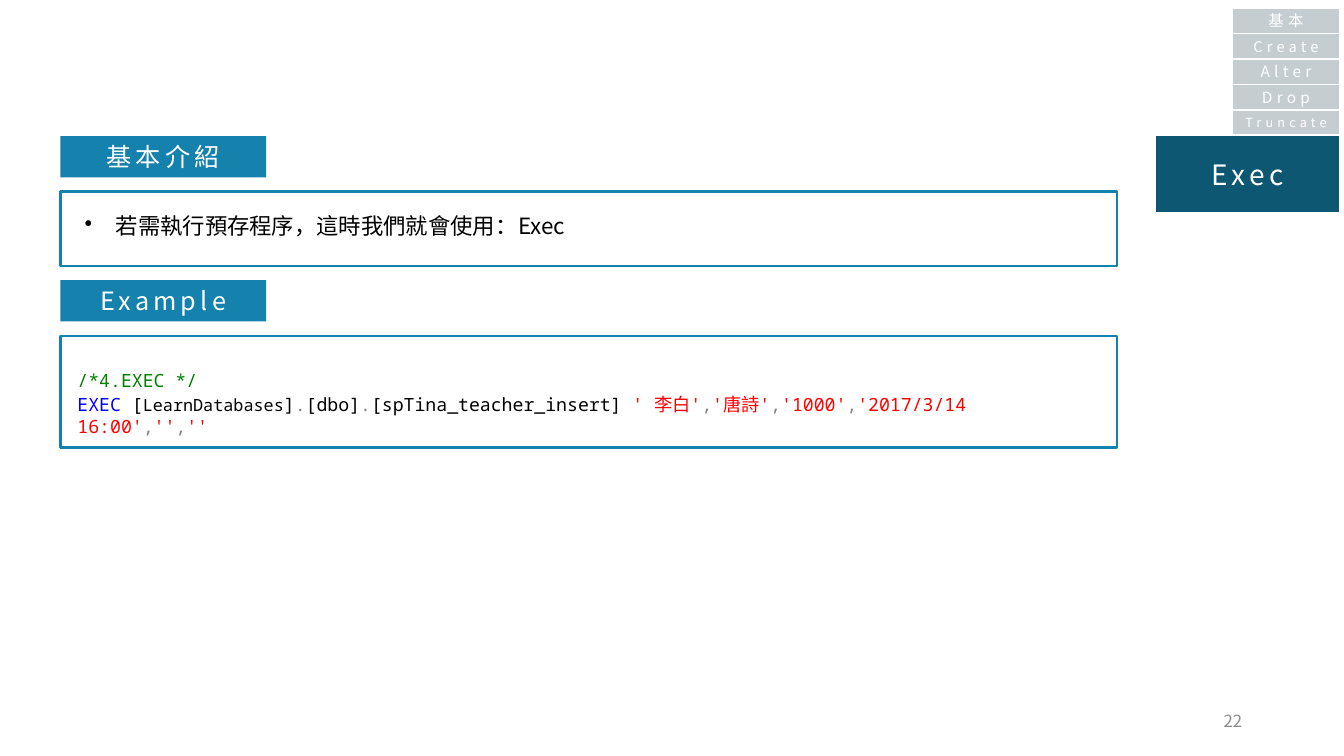
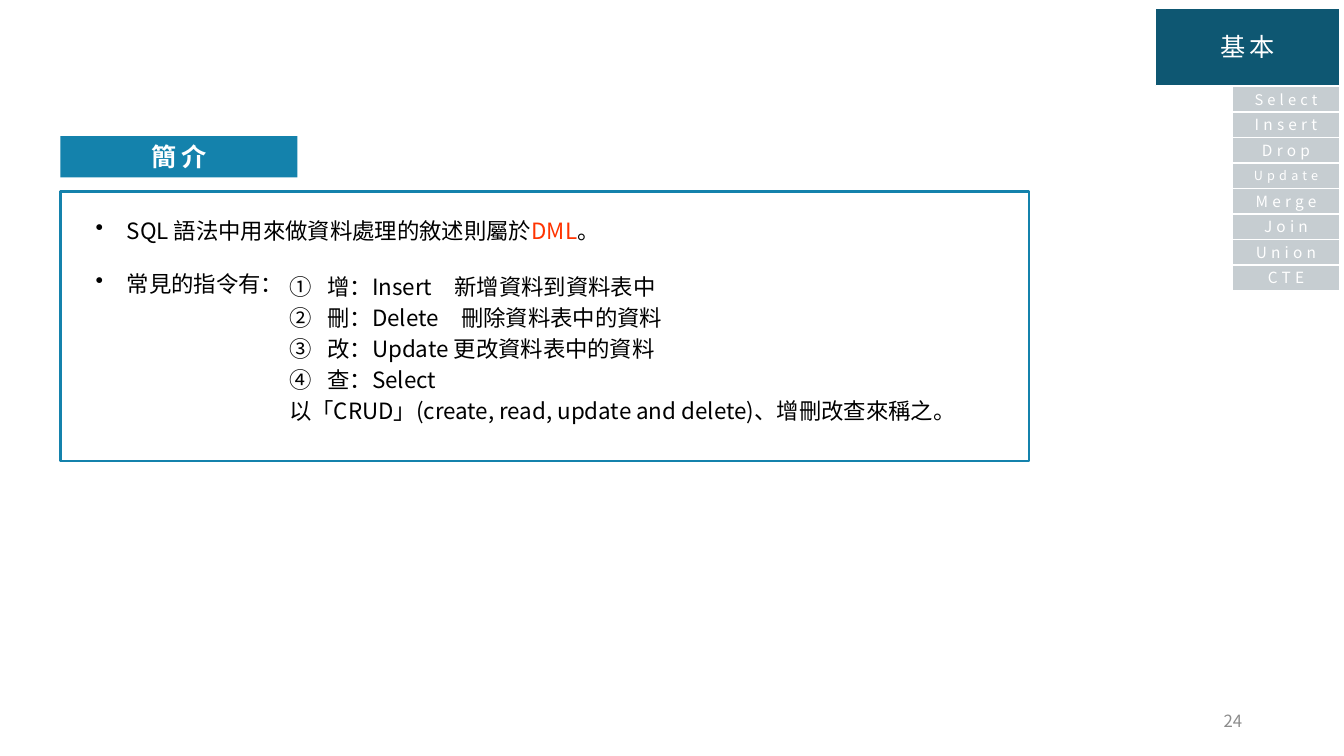
from dataclasses import dataclass

from lxml import etree
from pptx import Presentation
from pptx import util as u
from pptx.dml.color import RGBColor
from pptx.enum import shapes, text
from pptx.oxml.ns import qn

SANS = "Noto Sans CJK TC"
MONO = "Noto Sans Mono"
BLUE = RGBColor(0x14, 0x82, 0xAC)
DEEP_BLUE = RGBColor(0x0E, 0x57, 0x72)
PALE_GREY = RGBColor(0xC6, 0xCD, 0xD1)
WHITE = RGBColor(0xFF, 0xFF, 0xFF)
BLACK = RGBColor(0, 0, 0)
NUMBER_GREY = RGBColor(0x8C, 0x8C, 0x8C)
HIGHLIGHT = RGBColor(0xFF, 0x33, 0)
COMMENT_GREEN = RGBColor(0, 0x80, 0)
KEYWORD_BLUE = RGBColor(0, 0, 0xFF)
STRING_RED = RGBColor(0xFF, 0, 0)
POINT_GREY = RGBColor(0x80, 0x80, 0x80)

SLIDE_W, SLIDE_H = 13.33, 7.5
LEFT, TOP = 0.6, 1.35
LABEL_H, GAP = 0.41, 0.14
TAB_RIGHT, TAB_TOP = 13.29, 0.08
TAB_W, TAB_H = 1.07, 0.25
TAB_STEP = (2.63 - 0.86) / 7
ACTIVE_W, ACTIVE_H = 1.83, 0.77
ACTIVE_STEP = ACTIVE_H + 0.01
CENTER = text.PP_ALIGN.CENTER
BULLET = ("buChar", {"char": "•"}, 0.31)
CIRCLED = ("buAutoNum", {"type": "circleNumWdWhitePlain"}, 0.38)


@dataclass
class Box:
    left: float
    top: float
    width: float
    height: float

    def inner(self, dx, dy, width, height):
        return Box(self.left + dx, self.top + dy, width, height)

    def emu(self):
        return [u.Inches(n) for n in (self.left, self.top, self.width, self.height)]


def set_font(paragraph, size, color, name=SANS, bold=False, spacing=0):
    font = paragraph.font
    font.size, font.name, font.bold = u.Pt(size), name, bold
    font.color.rgb = color
    defaults = paragraph._p.pPr.find(qn("a:defRPr"))
    defaults.set("spc", str(spacing * 100))
    east_asian = etree.Element(qn("a:ea"), typeface=SANS)
    defaults.find(qn("a:latin")).addnext(east_asian)


def set_bullet(paragraph, bullet):
    tag, attributes, indent = bullet
    properties = paragraph._p.get_or_add_pPr()
    properties.set("marL", str(u.Inches(indent)))
    properties.set("indent", str(-u.Inches(indent)))
    etree.SubElement(properties, qn("a:" + tag), attributes)


def fill_band(band, caption, color, size, bold=False):
    band.fill.solid()
    band.fill.fore_color.rgb = color
    frame = band.text_frame
    frame.auto_size = text.MSO_AUTO_SIZE.NONE
    frame.word_wrap = True
    frame.vertical_anchor = text.MSO_ANCHOR.MIDDLE
    frame.text = caption
    paragraph = frame.paragraphs[0]
    paragraph.alignment = CENTER
    set_font(paragraph, size, WHITE, bold=bold, spacing=3)


def add_rectangle(slide, box):
    rectangle = slide.shapes.add_shape(shapes.MSO_SHAPE.RECTANGLE, *box.emu())
    rectangle.shadow.inherit = False
    return rectangle


def add_section(slide, caption, top, label_width, width, height, bold=False):
    label = add_rectangle(slide, Box(LEFT, top, label_width, LABEL_H))
    label.line.fill.background()
    fill_band(label, caption, BLUE, 18, bold)
    area = Box(LEFT, top + LABEL_H + GAP, width, height)
    panel = add_rectangle(slide, area)
    panel.fill.background()
    panel.line.color.rgb = BLUE
    panel.line.width = u.Pt(1.5)
    return area


def add_text(slide, box, lines, size=16, name=SANS, bullets=(), gap=0):
    frame = slide.shapes.add_textbox(*box.emu()).text_frame
    frame.word_wrap = True
    for index, line in enumerate(lines):
        paragraph = frame.add_paragraph() if index else frame.paragraphs[0]
        if index:
            paragraph.space_before = u.Pt(gap)
        if index < len(bullets):
            set_bullet(paragraph, bullets[index])
        set_font(paragraph, size, BLACK, name)
        for content, color, *run_size in line:
            run = paragraph.add_run()
            run.text = content
            if color != BLACK:
                run.font.color.rgb = color
            if run_size:
                run.font.size = u.Pt(run_size[0])
    return frame


def add_tabs(slide, tabs, active):
    top = TAB_TOP
    for caption, size in tabs:
        is_active = caption == active
        width, height = (ACTIVE_W, ACTIVE_H) if is_active else (TAB_W, TAB_H)
        area = Box(TAB_RIGHT - width, top, width, height)
        if is_active:
            tab = slide.shapes.title
            tab.left, tab.top, tab.width, tab.height = area.emu()
        else:
            tab = add_rectangle(slide, area)
        fill_band(tab, caption, DEEP_BLUE if is_active else PALE_GREY, size)
        tab.line.color.rgb = WHITE
        tab.line.width = u.Pt(1)
        top += ACTIVE_STEP if is_active else TAB_STEP


def add_page_number(slide, number):
    frame = add_text(slide, Box(9.42, 6.95, 3, 0.4), [[(number, NUMBER_GREY)]], 12)
    frame.vertical_anchor = text.MSO_ANCHOR.MIDDLE
    frame.paragraphs[0].alignment = text.PP_ALIGN.RIGHT


def start_slide(deck, tabs, active, number):
    slide = deck.slides.add_slide(deck.slide_layouts[5])
    add_tabs(slide, tabs, active)
    add_page_number(slide, number)
    return slide


def build_exec(deck):
    tabs = [("基本", 11), ("Create", 10.5), ("Alter", 11), ("Drop", 11),
            ("Truncate", 9), ("Exec", 20)]
    slide = start_slide(deck, tabs, "Exec", "22")
    intro = add_section(slide, "基本介紹", TOP, 2.04, 10.48, 0.74)
    add_text(slide, intro.inner(0.14, 0.16, 7.67, 0.37),
             [[("若需執行預存程序，這時我們就會使用：Exec", BLACK)]], bullets=[BULLET])

    example_top = intro.top + intro.height + GAP
    example = add_section(slide, "Example", example_top, 2.04, 10.48, 1.11)
    comma = (",", POINT_GREY)
    dot = (".", POINT_GREY)
    call = [("EXEC", KEYWORD_BLUE), (" [", BLACK), ("LearnDatabases", BLACK, 12),
            ("]", BLACK), dot, ("[dbo]", BLACK), dot,
            ("[spTina_teacher_insert] ", BLACK)]
    arguments = ["' 李白'", "'唐詩'", "'1000'", "'2017/3/14 16:00'", "''", "''"]
    for index, argument in enumerate(arguments):
        call += [comma] * (index > 0) + [(argument, STRING_RED)]
    add_text(slide, example.inner(0.07, 0.28, 10.33, 0.58),
             [[("/*4.EXEC */", COMMENT_GREEN)], call], 13, MONO, gap=2)


def build_basics(deck):
    tabs = [("基本", 18), ("Select", 10.5), ("Insert", 11), ("Drop", 11),
            ("Update", 9), ("Merge", 11), ("Join", 11), ("Union", 11), ("CTE", 11)]
    slide = start_slide(deck, tabs, "基本", "24")
    intro = add_section(slide, "簡介", TOP, 2.35, 9.61, 2.67, bold=True)
    points = [[("SQL 語法中用來做資料處理的敘述則屬於", BLACK), ("DML", HIGHLIGHT),
               ("。", BLACK)],
              [("常見的指令有：", BLACK)]]
    add_text(slide, intro.inner(0.25, 0.2, 9.28, 0.91), points,
             bullets=[BULLET] * 2, gap=19)
    commands = ["增：Insert　新增資料到資料表中", "刪：Delete　刪除資料表中的資料",
                "改：Update 更改資料表中的資料", "查：Select",
                "以「CRUD」(create, read, update and delete)、增刪改查來稱之。"]
    add_text(slide, intro.inner(2.17, 0.76, 6.67, 1.62),
             [[(command, BLACK)] for command in commands],
             bullets=[CIRCLED] * 4, gap=3)


def main():
    deck = Presentation()
    deck.slide_width, deck.slide_height = u.Inches(SLIDE_W), u.Inches(SLIDE_H)
    build_exec(deck)
    build_basics(deck)
    deck.save("out.pptx")


if __name__ == "__main__":
    main()
